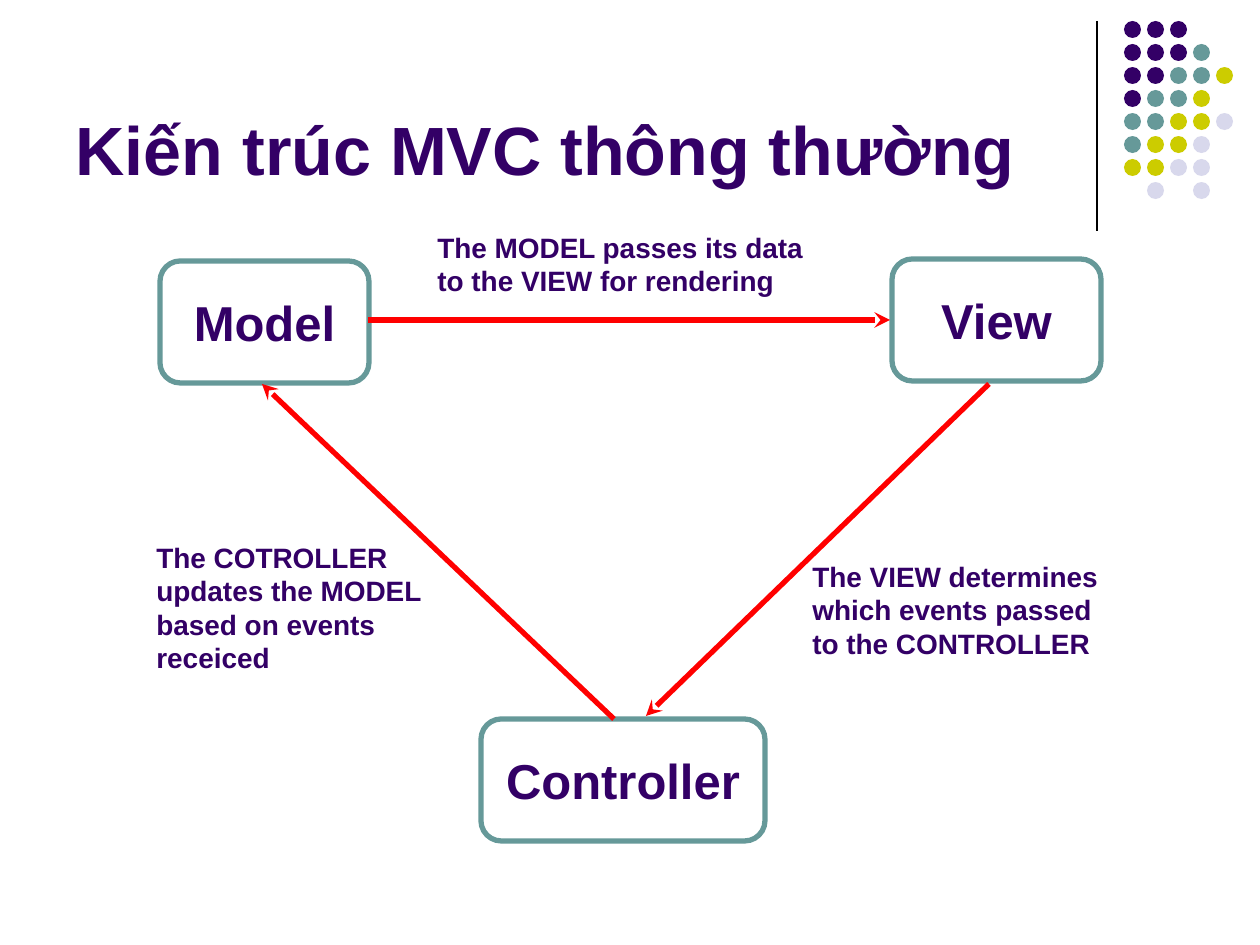
from lxml import etree
from pptx import Presentation
from pptx import util as u
from pptx.dml.color import RGBColor
from pptx.enum import shapes, text
from pptx.oxml.ns import qn

EMU_PER_PX = 914400 / 126
FONT = "Arial"
COLORS = {
    "purple": "330066",
    "teal": "669999",
    "olive": "CCCC00",
    "lavender": "D8D8EC",
    "red": "FF0000",
    "black": "000000",
}

# One letter per dot; a space leaves a gap
DOT_ROWS = ["PPP", "PPPT", "PPTTO", "PTTO", "TTOOL", "TOOL", "OOLL", " L L"]
DOT_COLORS = {"P": "purple", "T": "teal", "O": "olive", "L": "lavender"}
DOT_LEFT, DOT_TOP, DOT_SIZE, DOT_PITCH = 1124, 21, 17, 23

BOXES = [
    ("Model", (160, 261, 209, 122)),
    ("View", (892, 259, 209, 122)),
    ("Controller", (481, 719, 284, 122)),
]
ARROWS = [
    ((368, 320), (890, 320)),
    ((989, 384), (646, 716)),
    ((614, 719), (262, 384)),
]
LABELS = [
    ("The MODEL passes its data to the VIEW for rendering", (425, 224, 394, 81)),
    ("The VIEW determines which events passed to the CONTROLLER", (800, 553, 326, 113)),
    ("The COTROLLER updates the MODEL based on events receiced", (144, 534, 326, 147)),
]


def px(*lengths):
    return [u.Emu(round(length * EMU_PER_PX)) for length in lengths]


def color(name):
    return RGBColor.from_string(COLORS[name])


def write_text(shape, content, size, align=text.PP_ALIGN.LEFT,
               anchor=text.MSO_ANCHOR.TOP, before=0, wrap=True):
    frame = shape.text_frame
    frame.word_wrap = wrap
    frame.auto_size = text.MSO_AUTO_SIZE.NONE
    frame.vertical_anchor = anchor
    paragraph = frame.paragraphs[0]
    paragraph.alignment = align
    paragraph.space_before = u.Pt(before)
    run = paragraph.add_run()
    run.text = content
    run.font.name = FONT
    run.font.size = u.Pt(size)
    run.font.bold = True
    run.font.color.rgb = color("purple")


def add_title(slide, content, box):
    title = slide.shapes.title
    title.left, title.top, title.width, title.height = px(*box)
    write_text(title, content, 39, anchor=text.MSO_ANCHOR.BOTTOM)


def add_dot(slide, left, top, fill):
    dot = slide.shapes.add_shape(
        shapes.MSO_SHAPE.OVAL, *px(left, top, DOT_SIZE, DOT_SIZE))
    dot.shadow.inherit = False
    dot.fill.solid()
    dot.fill.fore_color.rgb = color(fill)
    dot.line.fill.background()


def add_dot_pattern(slide):
    for row, letters in enumerate(DOT_ROWS):
        for column, letter in enumerate(letters):
            if letter in DOT_COLORS:
                add_dot(slide, DOT_LEFT + column * DOT_PITCH,
                        DOT_TOP + row * DOT_PITCH, DOT_COLORS[letter])


def add_box(slide, content, box):
    shape = slide.shapes.add_shape(shapes.MSO_SHAPE.ROUNDED_RECTANGLE, *px(*box))
    shape.shadow.inherit = False
    shape.fill.background()
    shape.line.color.rgb = color("teal")
    shape.line.width = u.Pt(3)
    write_text(shape, content, 28, align=text.PP_ALIGN.CENTER,
               anchor=text.MSO_ANCHOR.MIDDLE, before=14, wrap=False)


def add_line(slide, start, end, stroke, width, arrow=False):
    line = slide.shapes.add_connector(
        shapes.MSO_CONNECTOR.STRAIGHT, *px(*start, *end))
    line.line.color.rgb = color(stroke)
    line.line.width = u.Pt(width)
    if arrow:
        etree.SubElement(line.line._get_or_add_ln(), qn("a:tailEnd"), type="stealth")
    etree.SubElement(line._element.spPr, qn("a:effectLst"))


def add_label(slide, content, box):
    write_text(slide.shapes.add_textbox(*px(*box)), content, 16, before=10)


def main():
    presentation = Presentation()
    presentation.slide_width, presentation.slide_height = px(1260, 945)
    slide = presentation.slides.add_slide(presentation.slide_layouts[5])

    # Corner decoration
    add_line(slide, (1097, 21), (1097, 231), "black", 0.75)
    add_dot_pattern(slide)

    add_title(slide, "Kiến trúc MVC thông thường", (63, 16, 1040, 179))

    # MVC cycle
    for content, box in BOXES:
        add_box(slide, content, box)
    for start, end in ARROWS:
        add_line(slide, start, end, "red", 3, arrow=True)
    for content, box in LABELS:
        add_label(slide, content, box)

    presentation.save("out.pptx")


if __name__ == "__main__":
    main()
